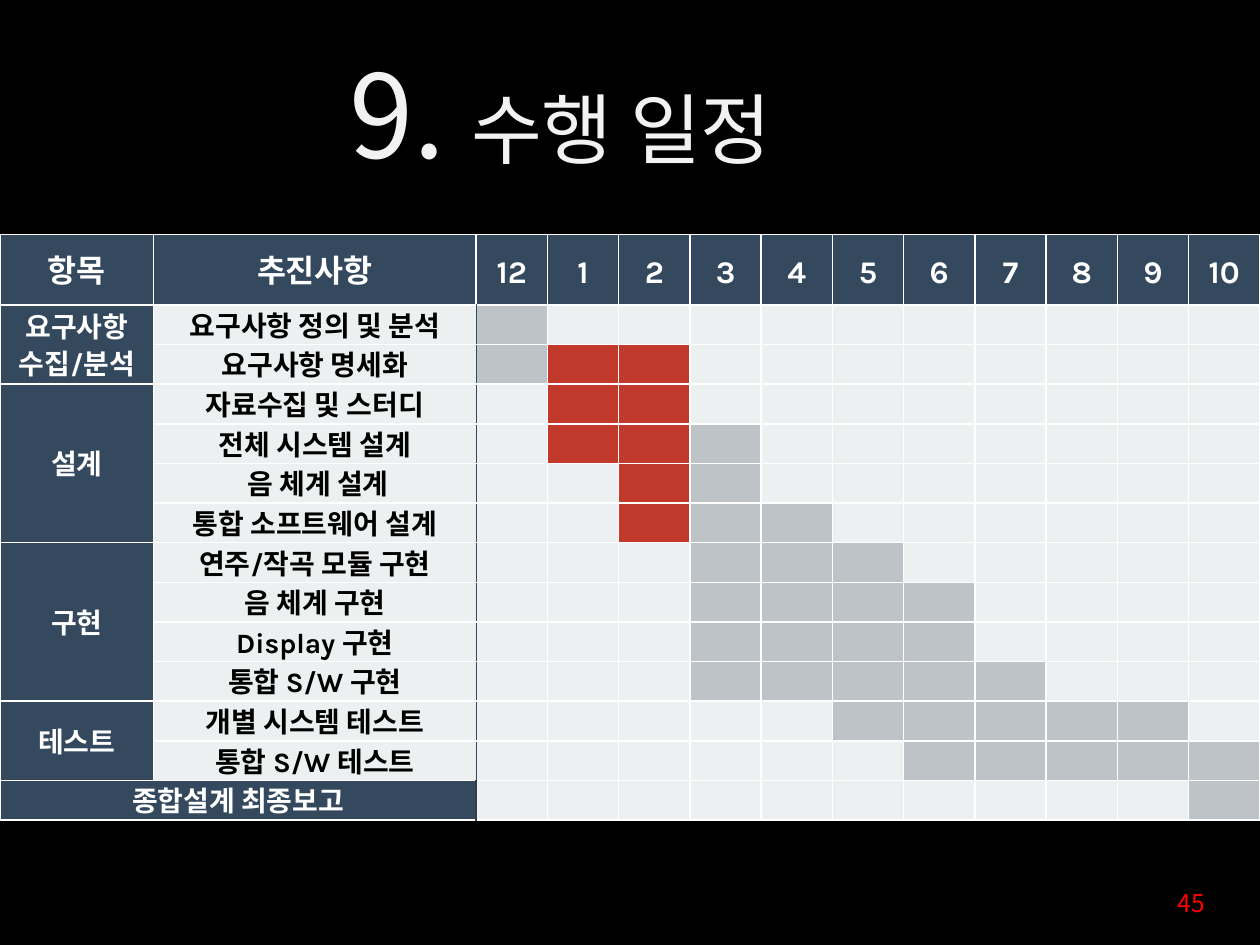
from lxml.etree import SubElement
from pptx import Presentation
from pptx.dml.color import RGBColor
from pptx.enum.text import MSO_ANCHOR, MSO_AUTO_SIZE, PP_ALIGN
from pptx.oxml import parse_xml
from pptx.oxml.ns import nsdecls, qn
from pptx.util import Inches, Pt

KOREAN_FONT = "Noto Sans CJK KR"
LATIN_FONT = "Karla"
NAVY = "34495E"
DARK_NAVY = "2C3E50"
PALE = "ECF0F1"
WHITE = "FFFFFF"
BLACK = "000000"
MONTH_FILLS = {".": PALE, "g": "BDC3C7", "r": "C0392B"}
HEADERS = ["항목", "추진사항", "12", "1", "2", "3", "4", "5", "6", "7", "8", "9", "10"]
PHASES = [
    ("요구사항\n수집/분석", 2),
    ("설계", 4),
    ("구현", 4),
    ("테스트", 2),
]
TASKS = [
    ("요구사항 정의 및 분석", "g.........."),
    ("요구사항 명세화", "grr........"),
    ("자료수집 및 스터디", ".rr........"),
    ("전체 시스템 설계", ".rrg......."),
    (" 음 체계 설계", "..rg......."),
    ("통합 소프트웨어 설계", "..rgg......"),
    ("연주/작곡 모듈 구현", "...ggg....."),
    ("음 체계 구현", "...gggg...."),
    ("Display 구현", "...gggg...."),
    ("통합 S/W 구현", "...ggggg..."),
    ("개별 시스템 테스트", ".....ggggg."),
    ("통합 S/W 테스트", "......ggggg"),
]
FINAL_REPORT = ("종합설계 최종보고", "..........g")


def color(value):
    return RGBColor.from_string(value)


def format_run(run, size, font_color, latin=KOREAN_FONT, bold=False):
    run.font.size = Pt(size)
    run.font.bold = bold
    run.font.color.rgb = color(font_color)
    run.font.name = latin
    SubElement(run.font._element, qn("a:ea"), typeface=KOREAN_FONT)


def add_title(slide):
    title = slide.shapes.title
    title.left, title.top = Inches(2.67), Inches(0.36)
    title.width, title.height = Inches(4.14), Inches(1.21)
    text_frame = title.text_frame
    text_frame.word_wrap = False
    text_frame.auto_size = MSO_AUTO_SIZE.SHAPE_TO_FIT_TEXT
    text_frame.vertical_anchor = MSO_ANCHOR.MIDDLE
    paragraph = text_frame.paragraphs[0]
    paragraph.alignment = PP_ALIGN.LEFT
    paragraph.line_spacing = 0.9
    for text, size in (("9. ", 66), ("수행 일정", 44)):
        run = paragraph.add_run()
        run.text = text
        format_run(run, size, "F2F2F2")


def add_page_number(slide):
    shape = slide.shapes.add_textbox(Inches(7.33), Inches(7), Inches(2.33), Inches(0.52))
    shape.text_frame.word_wrap = True
    shape.text_frame.text = "45"
    paragraph = shape.text_frame.paragraphs[0]
    paragraph.alignment = PP_ALIGN.RIGHT
    format_run(paragraph.runs[0], 14, "FF0000")


def set_borders(cell, **special):
    properties = cell._tc.get_or_add_tcPr()
    for index, side in enumerate("LRTB"):
        line_color, width = special.get(side, (WHITE, 1))
        line = parse_xml(
            f'<a:ln{side} {nsdecls("a")} w="{Pt(width)}"><a:solidFill>'
            f'<a:srgbClr val="{line_color}"/></a:solidFill></a:ln{side}>'
        )
        properties.insert(index, line)


def style_cell(cell, fill, **borders):
    cell.fill.solid()
    cell.fill.fore_color.rgb = color(fill)
    cell.margin_left = cell.margin_right = cell.margin_top = Inches(0.01)
    cell.margin_bottom = 0
    cell.vertical_anchor = MSO_ANCHOR.MIDDLE
    set_borders(cell, **borders)
    if not cell.text_frame.text:
        SubElement(cell.text_frame.paragraphs[0]._p, qn("a:endParaRPr"), sz="800")


def write_cell(cell, text, size, font_color, latin=LATIN_FONT):
    cell.text_frame.text = text
    for paragraph in cell.text_frame.paragraphs:
        paragraph.alignment = PP_ALIGN.CENTER
        paragraph.line_spacing = Pt(size * 1.35)
        format_run(paragraph.runs[0], size, font_color, latin, True)


def fill_header(table):
    for column, text in enumerate(HEADERS):
        cell = table.cell(0, column)
        write_cell(cell, text, 18, WHITE, LATIN_FONT if text.isdigit() else KOREAN_FONT)
        style_cell(cell, NAVY, B=(WHITE, 1.5))


def fill_months(table, row, months, divider, **borders):
    for column, mark in enumerate(months, 2):
        sides = {**borders, "L": divider} if column == 2 else borders
        style_cell(table.cell(row, column), MONTH_FILLS[mark], **sides)


def fill_tasks(table):
    divider = (NAVY, 0.75)
    for row, (task, months) in enumerate(TASKS, 1):
        borders = {"T": (WHITE, 1.5)} if row == 1 else {}
        write_cell(table.cell(row, 1), task, 16, BLACK)
        style_cell(table.cell(row, 1), PALE, R=divider, **borders)
        fill_months(table, row, months, divider, **borders)


def fill_phases(table):
    row = 1
    for phase, count in PHASES:
        write_cell(table.cell(row, 0), phase, 16, WHITE)
        for offset in range(count):
            borders = {"T": (WHITE, 1.5)} if row + offset == 1 else {}
            style_cell(table.cell(row + offset, 0), NAVY, **borders)
        table.cell(row, 0).merge(table.cell(row + count - 1, 0))
        row += count


def fill_final_report(table):
    row = len(TASKS) + 1
    text, months = FINAL_REPORT
    divider = (DARK_NAVY, 1.5)
    write_cell(table.cell(row, 0), text, 16, WHITE)
    for column in (0, 1):
        style_cell(table.cell(row, column), NAVY, R=divider)
    table.cell(row, 0).merge(table.cell(row, 1))
    fill_months(table, row, months, divider)


def add_schedule(slide):
    row_count = len(TASKS) + 2
    shape = slide.shapes.add_table(
        row_count, len(HEADERS), 0, Inches(1.86), Inches(10), Inches(4.65)
    )
    table = shape.table
    month_width = (10 - 1.22 - 2.56) / 11
    for column, width in zip(table.columns, [1.22, 2.56] + [month_width] * 11):
        column.width = Inches(width)
    task_height = (4.65 - 0.56) / (row_count - 1)
    for row, height in zip(table.rows, [0.56] + [task_height] * (row_count - 1)):
        row.height = Inches(height)
    fill_header(table)
    fill_tasks(table)
    fill_phases(table)
    fill_final_report(table)


def main():
    presentation = Presentation()
    presentation.slide_width, presentation.slide_height = Inches(10), Inches(7.5)
    slide = presentation.slides.add_slide(presentation.slide_layouts[5])
    slide.background.fill.solid()
    slide.background.fill.fore_color.rgb = color(BLACK)
    add_title(slide)
    add_schedule(slide)
    add_page_number(slide)
    presentation.save("out.pptx")


if __name__ == "__main__":
    main()
